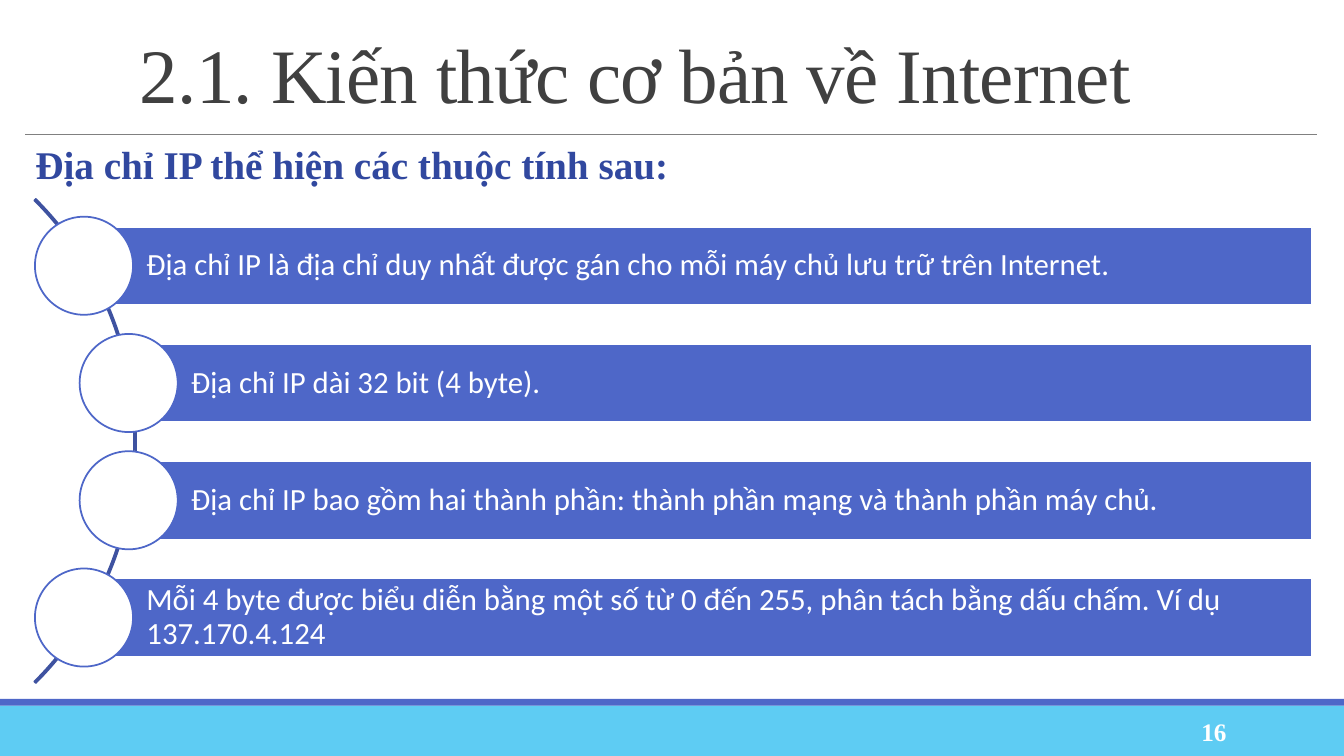
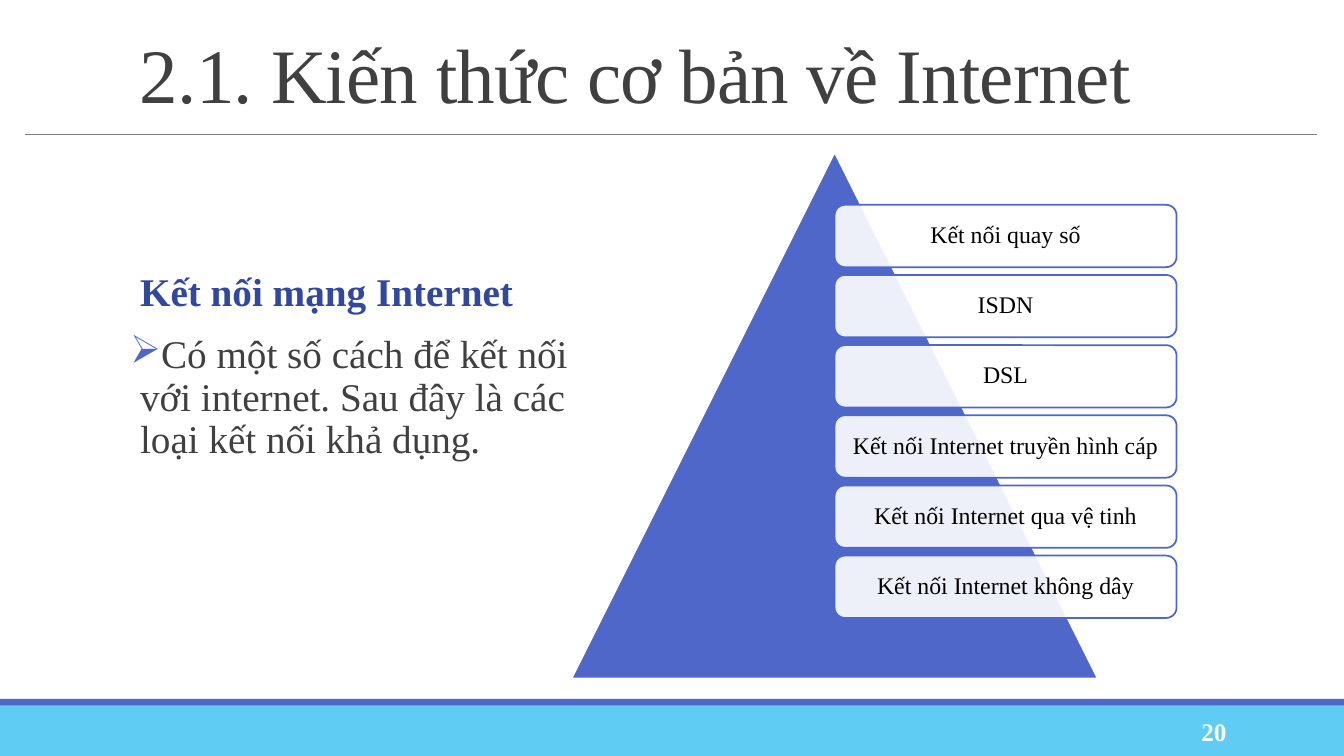
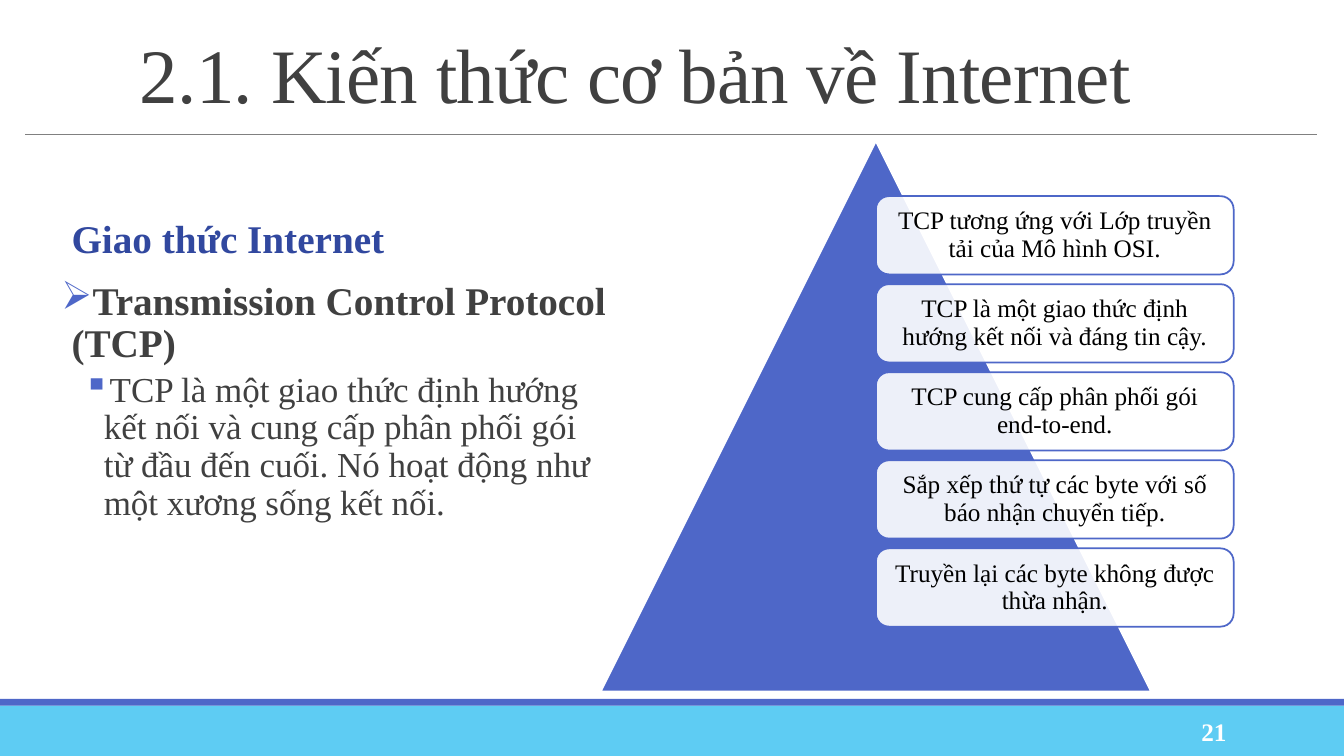
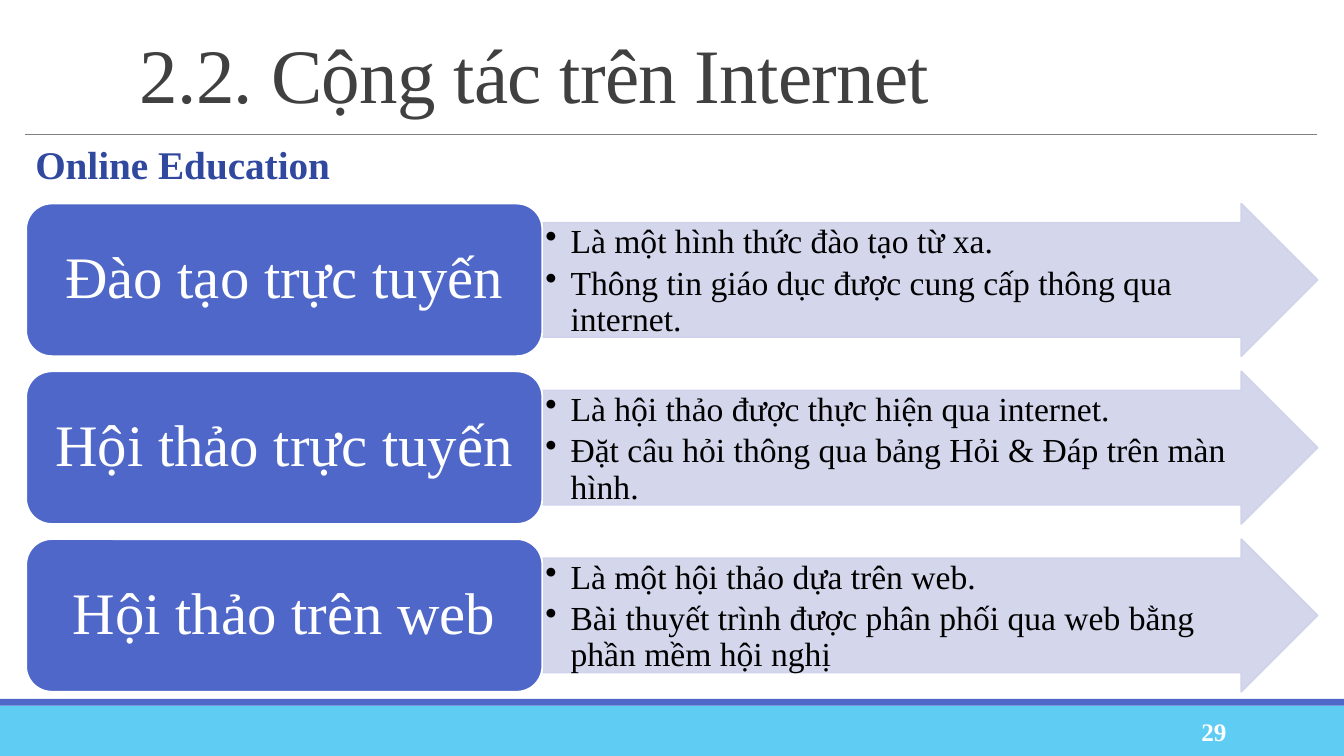
from lxml.etree import SubElement
from pptx import Presentation
from pptx.dml.color import RGBColor
from pptx.enum.shapes import MSO_CONNECTOR, MSO_SHAPE as SHAPE
from pptx.enum.text import MSO_ANCHOR as ANCHOR, PP_ALIGN as ALIGN
from pptx.oxml.ns import qn
from pptx.util import Emu, Inches, Pt

COLS, ROWS = 40, 22.5
WIDTH, HEIGHT = Inches(40 / 3), Inches(7.5)
CELL = WIDTH / COLS
BLUE, SKY, PALE, NAVY = "4E67C8", "5ECCF3", "D0D3EB", "31489F"
DARK, GRAY, WHITE, BLACK = "404040", "808080", "FFFFFF", "000000"
EDGE = "3E52A0"
SERIF, SANS = "Times New Roman", "Calibri"


def rgb(value):
    return RGBColor.from_string(value)


def cells(*values):
    return [Emu(round(v * CELL)) for v in values]


def set_frame(sp, anchor, insets):
    tf = sp.text_frame
    tf.word_wrap = True
    tf.vertical_anchor = anchor
    tf.margin_left, tf.margin_top, tf.margin_right, tf.margin_bottom = map(Inches, insets)
    return tf


def add_shape(slide, kind, box, fill=None, line=None, alpha=None, adj=(),
              anchor=ANCHOR.MIDDLE, insets=(0, 0, 0, 0)):
    sp = slide.shapes.add_shape(kind, *cells(*box))
    sp.shadow.inherit = False
    for i, value in enumerate(adj):
        sp.adjustments[i] = value
    if fill:
        sp.fill.solid()
        sp.fill.fore_color.rgb = rgb(fill)
    else:
        sp.fill.background()
    if alpha:
        color = sp.fill._xPr.find(qn("a:solidFill"))[0]
        SubElement(color, qn("a:alpha"), val=str(alpha * 1000))
    if line:
        sp.line.color.rgb = rgb(line)
        sp.line.width = Pt(1.25)
    else:
        sp.line.fill.background()
    return set_frame(sp, anchor, insets)


def add_box(slide, box, anchor=ANCHOR.TOP, insets=(0.1, 0.05, 0.1, 0.05)):
    return set_frame(slide.shapes.add_textbox(*cells(*box)), anchor, insets)


def add_rule(slide, x1, y1, x2, y2):
    cx = slide.shapes.add_connector(MSO_CONNECTOR.STRAIGHT, *cells(x1, y1, x2, y2))
    cx.line.color.rgb = rgb(GRAY)
    cx.line.width = Pt(0.5)
    SubElement(cx._element.spPr, qn("a:effectLst"))


def add_text(tf, text, size, color, font=SERIF, bold=False, align=ALIGN.LEFT, leading=0.9,
             before=0, after=0, left=0, indent=0, bullet=None, bullet_color=BLUE, tracking=None):
    first = not tf.paragraphs[0].runs
    p = tf.paragraphs[0] if first else tf.add_paragraph()
    p.alignment = align
    p.line_spacing = leading
    p.space_before = Pt(0 if first else before)
    p.space_after = Pt(after)
    pPr = p._p.get_or_add_pPr()
    pPr.set("marL", str(Inches(left)))
    pPr.set("indent", str(Inches(indent)))
    if bullet:
        SubElement(SubElement(pPr, qn("a:buClr")), qn("a:srgbClr"), val=bullet_color)
        SubElement(pPr, qn("a:buChar"), char=bullet)
    r = p.add_run()
    r.text = text
    f = r.font
    f.name, f.size, f.bold = font, Pt(size), bold
    f.color.rgb = rgb(color)
    if tracking:
        r._r.get_or_add_rPr().set("spc", str(round(tracking * 100)))


def new_slide(prs, title, number):
    slide = prs.slides.add_slide(prs.slide_layouts[6])
    add_shape(slide, SHAPE.RECTANGLE, (0, 21, COLS, ROWS - 21), SKY)
    add_shape(slide, SHAPE.RECTANGLE, (0, 20.8, COLS, 0.2), BLUE)
    add_rule(slide, 0.75, 4, 39.2, 4)
    tf = add_box(slide, (3.87, 0.93, 35.34, 2.88), ANCHOR.MIDDLE)
    add_text(tf, title, 55, DARK, leading=0.85, tracking=-0.5)
    tf = add_box(slide, (32.5, 21.18, 4.3, 1.2), ANCHOR.MIDDLE)
    add_text(tf, number, 18, WHITE, bold=True, align=ALIGN.RIGHT, leading=1)
    return slide


def add_body(slide, heading, box=(0.75, 4.2, 38.46, 1.8)):
    tf = add_box(slide, box, insets=(0, 0.05, 0, 0.05))
    add_text(tf, heading, 28, NAVY, bold=True, after=2, left=0.1)
    return tf


def add_point(tf, text, bold=False):
    add_text(tf, text, 28, DARK, bold=bold, before=12, after=2, left=0.1, indent=-0.1, bullet="➢")


def add_curved_list(slide, items):
    diameter, bar_height, pitch, right = 2.92, 2.33, 3.49, 39.05
    add_shape(slide, SHAPE.BLOCK_ARC, (-16.32, 2.94, 20.37, 20.37), line=EDGE, adj=(189, 27, 0.003))
    for i, text in enumerate(items):
        x = 2.5 if i in (0, len(items) - 1) else 3.83
        y = 7.91 + i * pitch
        tf = add_shape(slide, SHAPE.RECTANGLE, (x, y - bar_height / 2, right - x, bar_height),
                       BLUE, WHITE, insets=(0.62, 0.06, 0.06, 0.06))
        add_text(tf, text, 22, WHITE, font=SANS)
        add_shape(slide, SHAPE.OVAL, (x - diameter / 2, y - diameter / 2, diameter, diameter),
                  WHITE, BLUE)


def add_pyramid(slide, x, y, side, size, items):
    add_shape(slide, SHAPE.ISOSCELES_TRIANGLE, (x, y, side, side), BLUE, WHITE)
    pitch = 0.8 * side / len(items)
    for i, text in enumerate(items):
        box = (x + side / 2, y + 0.1 * side + i * pitch, 0.65 * side, pitch * 8 / 9)
        tf = add_shape(slide, SHAPE.ROUNDED_RECTANGLE, box, WHITE, BLUE, alpha=90, insets=[0.07] * 4)
        add_text(tf, text, size, BLACK, align=ALIGN.CENTER)


def add_arrow_rows(slide, rows):
    height = 4.54
    for i, (label, points) in enumerate(rows):
        y = 6.06 + i * height * 1.1
        tf = add_shape(slide, SHAPE.RIGHT_ARROW, (16.17, y, 23.04, height), PALE, PALE, alpha=90,
                       adj=(0.75, 0.5), anchor=ANCHOR.TOP, insets=[0.02] * 4)
        for point in points:
            add_text(tf, point, 24, BLACK, after=3.6, left=0.25, indent=-0.25,
                     bullet="•", bullet_color=BLACK)
        tf = add_shape(slide, SHAPE.ROUNDED_RECTANGLE, (0.78, y, 15.36, height), BLUE, WHITE,
                       insets=(0.17, 0.09, 0.17, 0.09))
        add_text(tf, label, 42, WHITE, align=ALIGN.CENTER)


def main():
    prs = Presentation()
    prs.slide_width, prs.slide_height = WIDTH, HEIGHT
    basics = "2.1. Kiến thức cơ bản về Internet"

    slide = new_slide(prs, basics, "16")
    add_body(slide, "Địa chỉ IP thể hiện các thuộc tính sau:")
    add_curved_list(slide, [
        "Địa chỉ IP là địa chỉ duy nhất được gán cho mỗi máy chủ lưu trữ trên Internet.",
        "Địa chỉ IP dài 32 bit (4 byte).",
        "Địa chỉ IP bao gồm hai thành phần: thành phần mạng và thành phần máy chủ.",
        "Mỗi 4 byte được biểu diễn bằng một số từ 0 đến 255, phân tách bằng dấu chấm. "
        "Ví dụ 137.170.4.124",
    ])

    slide = new_slide(prs, basics, "20")
    tf = add_body(slide, "Kết nối mạng Internet", (3.87, 7.98, 13.29, 6.51))
    add_point(tf, "Có một số cách để kết nối với internet. Sau đây là các loại kết nối khả dụng.")
    add_pyramid(slide, 17.01, 4.53, 15.66, 17, [
        "Kết nối quay số",
        "ISDN",
        "DSL",
        "Kết nối Internet truyền hình cáp",
        "Kết nối Internet qua vệ tinh",
        "Kết nối Internet không dây",
    ])

    slide = new_slide(prs, basics, "21")
    tf = add_body(slide, "Giao thức Internet", (1.83, 6.39, 16.26, 9.72))
    add_point(tf, "Transmission Control Protocol (TCP)", bold=True)
    add_text(tf, "TCP là một giao thức định hướng kết nối và cung cấp phân phối gói từ đầu đến cuối. "
             "Nó hoạt động như một xương sống kết nối.",
             25, DARK, before=2, after=4, left=0.42, indent=-0.2, bullet="▪")
    add_pyramid(slide, 17.88, 4.2, 16.38, 18, [
        "TCP tương ứng với Lớp truyền tải của Mô hình OSI.",
        "TCP là một giao thức định hướng kết nối và đáng tin cậy.",
        "TCP cung cấp phân phối gói end-to-end.",
        "Sắp xếp thứ tự các byte với số báo nhận chuyển tiếp.",
        "Truyền lại các byte không được thừa nhận.",
    ])

    slide = new_slide(prs, "2.2. Cộng tác trên Internet", "29")
    add_body(slide, "Online Education")
    add_arrow_rows(slide, [
        ("Đào tạo trực tuyến", [
            "Là một hình thức đào tạo từ xa.",
            "Thông tin giáo dục được cung cấp thông qua internet."]),
        ("Hội thảo trực tuyến", [
            "Là hội thảo được thực hiện qua internet.",
            "Đặt câu hỏi thông qua bảng Hỏi & Đáp trên màn hình."]),
        ("Hội thảo trên web", [
            "Là một hội thảo dựa trên web.",
            "Bài thuyết trình được phân phối qua web bằng phần mềm hội nghị"]),
    ])

    prs.save("out.pptx")


if __name__ == "__main__":
    main()
